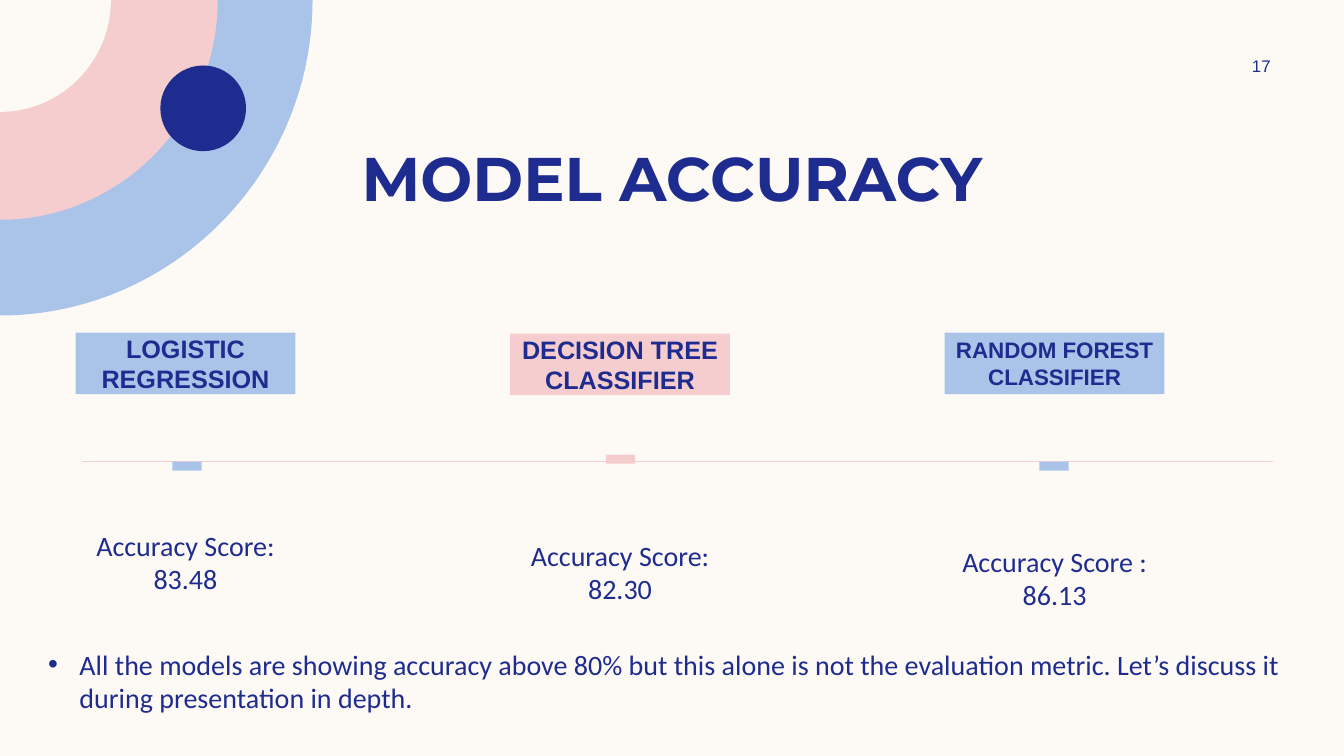
from lxml import etree
from pptx import Presentation
from pptx.dml.color import RGBColor
from pptx.enum.shapes import MSO_CONNECTOR, MSO_SHAPE
from pptx.enum.text import MSO_ANCHOR, MSO_AUTO_SIZE, PP_ALIGN
from pptx.oxml.ns import qn
from pptx.util import Inches, Pt

STRAIGHT = MSO_CONNECTOR.STRAIGHT
RECTANGLE, OVAL = MSO_SHAPE.RECTANGLE, MSO_SHAPE.OVAL
TOP, MIDDLE, BOTTOM = MSO_ANCHOR.TOP, MSO_ANCHOR.MIDDLE, MSO_ANCHOR.BOTTOM
LEFT, CENTER = PP_ALIGN.LEFT, PP_ALIGN.CENTER
NO_AUTOFIT, GROW = MSO_AUTO_SIZE.NONE, MSO_AUTO_SIZE.SHAPE_TO_FIT_TEXT

COLORS = {"cream": "FDFAF6", "blue": "AAC3E8", "pink": "F5CDCE",
          "navy": "1F2C8F", "line": "F2D1D1"}

# name, label size, label top, colour, tick top, score, score top
MODELS = [
    ("LOGISTIC REGRESSION", 18, 3.3, "blue", 4.58, "Accuracy Score: 83.48", 5.19),
    ("DECISION TREE CLASSIFIER", 18, 3.31, "pink", 4.51, "Accuracy Score: 82.30", 5.29),
    ("RANDOM FOREST CLASSIFIER", 16, 3.3, "blue", 4.58, "Accuracy Score : 86.13", 5.35),
]
COLUMN_LEFT, COLUMN_STEP, COLUMN_WIDTH = 0.75, 4.31, 2.18
TICK_LEFT, TICK_STEP = 1.71, 4.3
CURVE = 0.55  # control point distance of a quarter ellipse, as a share of its radius
REMARK = ("All the models are showing accuracy above 80% but this alone is not the "
          "evaluation metric. Let’s discuss it during presentation in depth.")


def color(name):
    return RGBColor.from_string(COLORS[name])


def paint(shape, fill):
    shape.fill.solid()
    shape.fill.fore_color.rgb = color(fill)
    shape.line.fill.background()
    shape.shadow.inherit = False


def write(shape, text, size, font, bold=False, align=CENTER, anchor=TOP,
          insets=(0.1, 0.05), fit=NO_AUTOFIT):
    frame = shape.text_frame
    frame.word_wrap = True
    frame.auto_size = fit
    frame.vertical_anchor = anchor
    frame.margin_left = frame.margin_right = Inches(insets[0])
    frame.margin_top = frame.margin_bottom = Inches(insets[1])
    para = frame.paragraphs[0]
    para.alignment = align
    span = para.add_run()
    span.text = text
    span.font.size = Pt(size)
    span.font.name = font
    span.font.bold = bold
    span.font.color.rgb = color("navy")
    return para


def add_block(page, preset, left, top, width, height, fill):
    block = page.shapes.add_shape(preset, Inches(left), Inches(top),
                                  Inches(width), Inches(height))
    paint(block, fill)
    return block


def add_text(page, left, top, width, height, text, size, font, **style):
    box = page.shapes.add_textbox(Inches(left), Inches(top), Inches(width), Inches(height))
    return write(box, text, size, font, **style)


def add_quarter_disc(page, width, height, fill):
    """Fill a quarter ellipse centred on the top left corner of the slide."""
    corners = [(width, 0), (width, height * CURVE), (width * CURVE, height), (0, height)]
    builder = page.shapes.build_freeform(0, 0)
    builder.add_line_segments([(Inches(x), Inches(y)) for x, y in corners], close=True)
    disc = builder.convert_to_shape()
    lines = list(disc._element.iter(qn("a:lnTo")))
    curve = etree.Element(qn("a:cubicBezTo"))
    lines[0].addnext(curve)
    for line in lines[1:4]:
        curve.append(line[0])
        line.getparent().remove(line)
    paint(disc, fill)


def add_timeline(page, left, right, y):
    line = page.shapes.add_connector(STRAIGHT, Inches(left), Inches(y), Inches(right), Inches(y))
    line.line.color.rgb = color("line")
    line.line.width = Pt(1)
    etree.SubElement(line._element.spPr, qn("a:effectLst"))


def add_bullet(para, indent):
    properties = para._p.get_or_add_pPr()
    properties.set("marL", str(Inches(indent)))
    properties.set("indent", str(-Inches(indent)))
    font = etree.SubElement(properties, qn("a:buFont"))
    font.set("typeface", "Arial")
    etree.SubElement(properties, qn("a:buChar")).set("char", "•")


def add_title(page, text):
    title = page.shapes.title
    title.left, title.top = Inches(0.83), Inches(1.33)
    title.width, title.height = Inches(11.67), Inches(0.84)
    write(title, text, 44, "Montserrat", bold=True, anchor=BOTTOM)


def add_model(page, column, name, size, label_top, fill, tick_top, score, score_top):
    left = COLUMN_LEFT + column * COLUMN_STEP
    label = add_block(page, RECTANGLE, left, label_top, COLUMN_WIDTH, 0.61, fill)
    write(label, name, size, "Arial", bold=True, anchor=MIDDLE, insets=(0, 0))
    add_block(page, RECTANGLE, TICK_LEFT + column * TICK_STEP, tick_top, 0.29, 0.09, fill)
    add_text(page, left, score_top, COLUMN_WIDTH, 0.87, score, 20, "Calibri", insets=(0, 0.05))


def main():
    deck = Presentation()
    deck.slide_width, deck.slide_height = Inches(13.33), Inches(7.5)
    page = deck.slides.add_slide(deck.slide_layouts[5])
    page.background.fill.solid()
    page.background.fill.fore_color.rgb = color("cream")

    for width, height, fill in [(3.1, 3.13, "blue"), (2.16, 2.18, "pink"), (1.1, 1.11, "cream")]:
        add_quarter_disc(page, width, height, fill)
    add_block(page, OVAL, 1.59, 0.65, 0.85, 0.85, "navy")
    add_timeline(page, 0.81, 12.63, 4.58)

    add_title(page, "MODEL ACCURACY")
    add_text(page, 11.97, 0.5, 1.08, 0.3, "17", 12, "Arial", anchor=MIDDLE)
    for column, model in enumerate(MODELS):
        add_model(page, column, *model)
    remark = add_text(page, 0.38, 6.37, 12.48, 0.77, REMARK, 20, "Calibri", align=LEFT, fit=GROW)
    add_bullet(remark, 0.31)

    deck.save("out.pptx")


if __name__ == "__main__":
    main()
